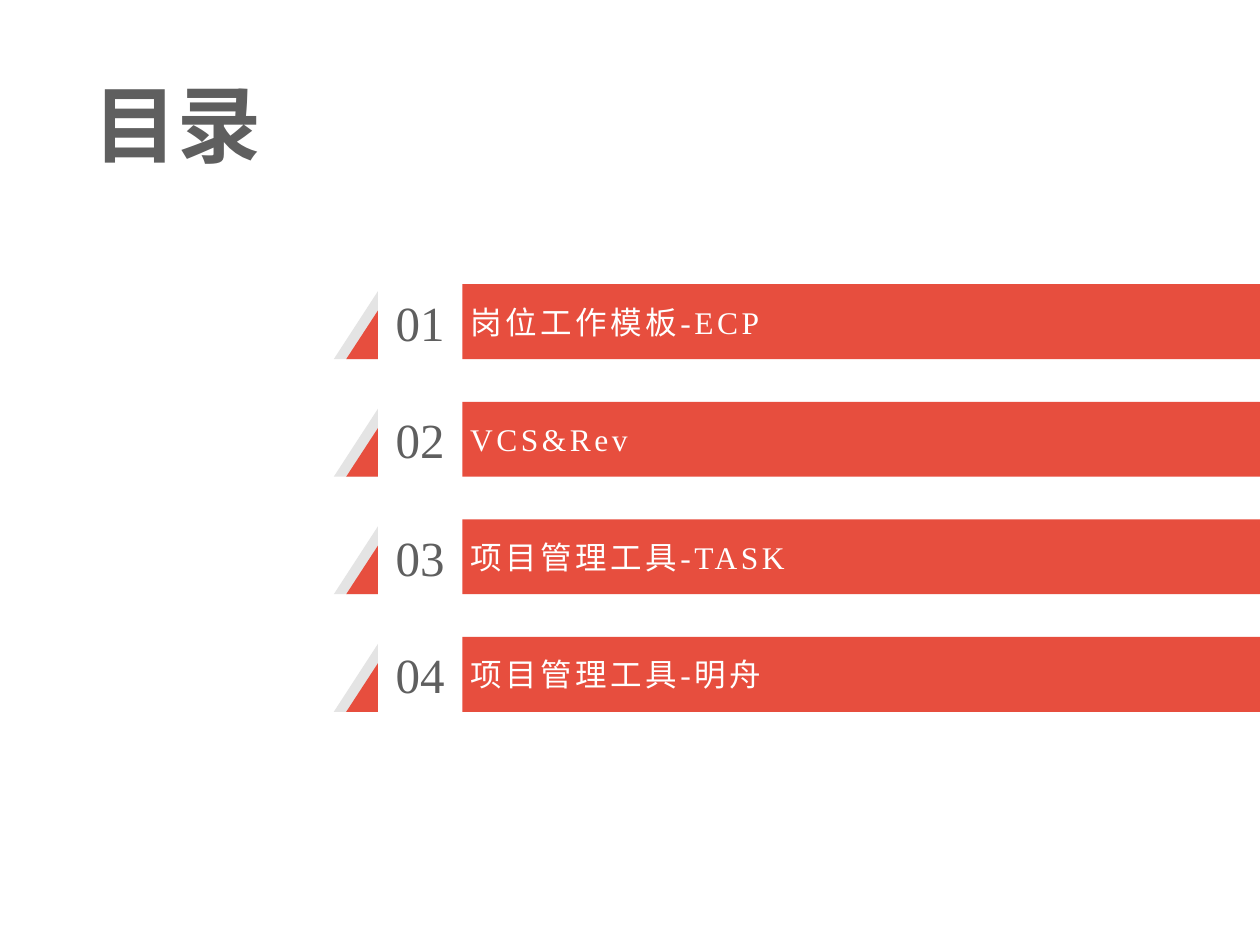
from dataclasses import dataclass

from pptx import Presentation
from pptx.dml.color import RGBColor
from pptx.enum.text import MSO_ANCHOR, MSO_AUTO_SIZE, PP_ALIGN
from pptx.oxml.ns import qn
from pptx.util import Cm, Pt

MIDDLE = MSO_ANCHOR.MIDDLE
NO_AUTOFIT = MSO_AUTO_SIZE.NONE
LEFT, CENTER = PP_ALIGN.LEFT, PP_ALIGN.CENTER


@dataclass(frozen=True)
class Theme:
    accent: str = "E74E3E"
    pale: str = "E4E4E4"
    dark: str = "5F5F5F"
    light: str = "FFFFFF"
    latin_font: str = "Times New Roman"
    chinese_font: str = "Noto Sans CJK SC"
    title_size: int = 48
    number_size: int = 28
    entry_size: int = 18
    entry_spacing: int = 2


class AgendaSlide:
    def __init__(self, slide, theme):
        self.slide = slide
        self.theme = theme

    def set_text(self, shape, text, size, color, font, align=CENTER,
                 bold=False, spacing=0, left_inset=0):
        frame = shape.text_frame
        frame.word_wrap = True
        frame.auto_size = NO_AUTOFIT
        frame.vertical_anchor = MIDDLE
        frame.margin_left = Cm(left_inset)
        frame.margin_top = frame.margin_right = frame.margin_bottom = 0
        paragraph = frame.paragraphs[0]
        paragraph.alignment = align
        run = paragraph.add_run()
        run.text = text
        run.font.name = font
        run.font.size = Pt(size)
        run.font.bold = bold
        run.font.color.rgb = RGBColor.from_string(color)
        # East Asian font and letter spacing
        properties = run.font._element
        east_asian = properties.makeelement(
            qn("a:ea"), {"typeface": self.theme.chinese_font})
        properties.find(qn("a:latin")).addnext(east_asian)
        if spacing:
            properties.set("spc", str(spacing * 100))

    def title(self, text, left, top, width, height):
        shape = self.slide.shapes.title
        shape.left, shape.top = Cm(left), Cm(top)
        shape.width, shape.height = Cm(width), Cm(height)
        self.set_text(shape, text, self.theme.title_size, self.theme.dark,
                      self.theme.chinese_font, bold=True)

    def label(self, text, left, top, width, height):
        shape = self.slide.shapes.add_textbox(
            Cm(left), Cm(top), Cm(width), Cm(height))
        self.set_text(shape, text, self.theme.number_size, self.theme.dark,
                      self.theme.latin_font)

    def outline(self, contours, color):
        builder = None
        for contour in contours:
            start, *others = [(Cm(x), Cm(y)) for x, y in contour]
            if builder is None:
                builder = self.slide.shapes.build_freeform(*start)
            else:
                builder.move_to(*start)
            builder.add_line_segments(others, close=True)
        shape = builder.convert_to_shape()
        shape.shadow.inherit = False
        shape.fill.solid()
        shape.fill.fore_color.rgb = RGBColor.from_string(color)
        shape.line.fill.background()
        return shape

    def entry(self, number, text, top):
        theme = self.theme
        bottom = top + BAR_HEIGHT
        # Pale triangle behind the accent one
        self.outline([[(NUMBER_LEFT, top + 0.14), (NUMBER_LEFT, bottom),
                       (PALE_LEFT, bottom)]], theme.pale)
        # Accent triangle and bar form one shape
        triangle = [(NUMBER_LEFT, top + 0.53), (NUMBER_LEFT, bottom),
                    (ACCENT_LEFT, bottom)]
        bar = [(BAR_LEFT, top), (SLIDE_WIDTH, top),
               (SLIDE_WIDTH, bottom), (BAR_LEFT, bottom)]
        shape = self.outline([triangle, bar], theme.accent)
        self.set_text(shape, text, theme.entry_size, theme.light,
                      theme.latin_font, align=LEFT,
                      spacing=theme.entry_spacing, left_inset=2.5)
        self.label(f"{number:02}", NUMBER_LEFT, top,
                   BAR_LEFT - NUMBER_LEFT, BAR_HEIGHT)


# Layout in centimetres
SLIDE_WIDTH, SLIDE_HEIGHT = 25.4, 19.05
PALE_LEFT, ACCENT_LEFT, NUMBER_LEFT, BAR_LEFT = 6.73, 6.98, 7.62, 9.32
FIRST_TOP, ROW_PITCH, BAR_HEIGHT = 5.73, 2.37, 1.51

ENTRIES = ["岗位工作模板-ECP", "VCS&Rev", "项目管理工具-TASK", "项目管理工具-明舟"]

presentation = Presentation()
presentation.slide_width = Cm(SLIDE_WIDTH)
presentation.slide_height = Cm(SLIDE_HEIGHT)
title_only = presentation.slide_layouts[5]
agenda = AgendaSlide(presentation.slides.add_slide(title_only), Theme())

# Heading
agenda.title("目录", 1.55, 1.57, 4.06, 1.8)

# Numbered entries
for index, entry_text in enumerate(ENTRIES):
    agenda.entry(index + 1, entry_text, FIRST_TOP + index * ROW_PITCH)

presentation.save("out.pptx")
